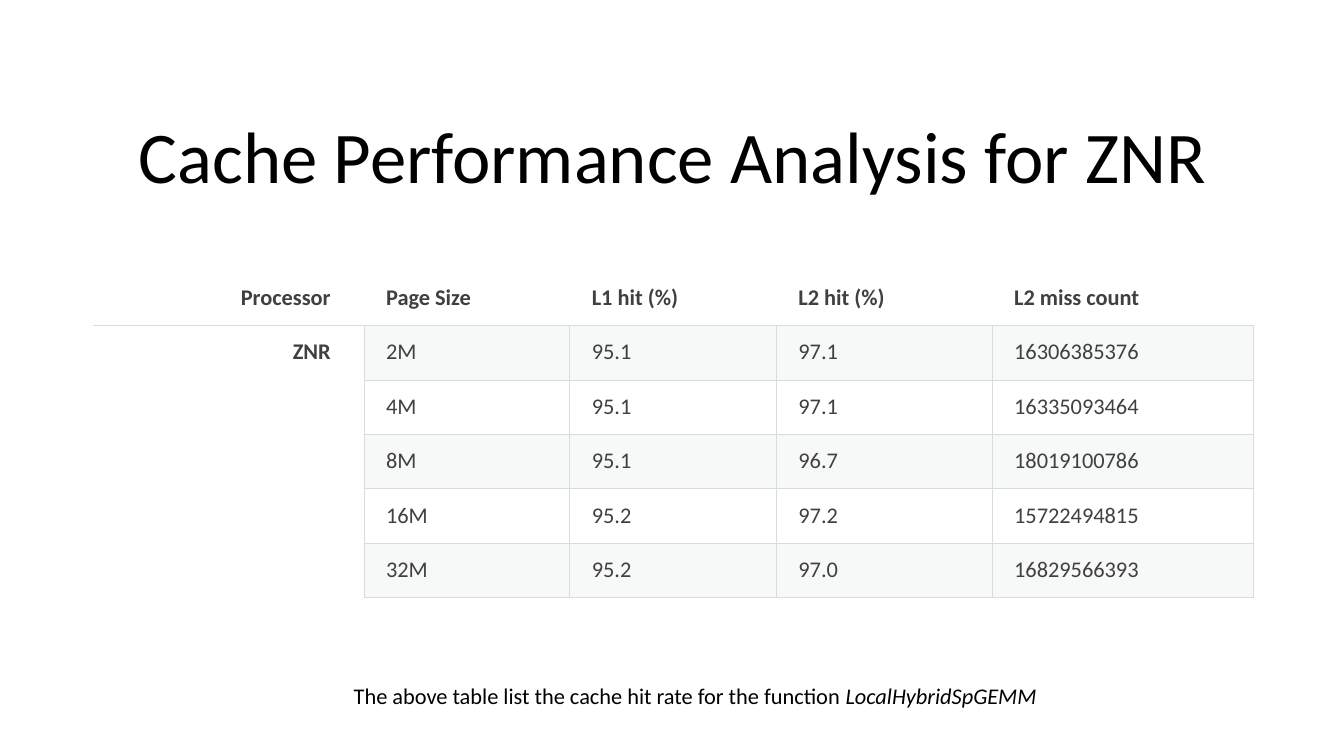
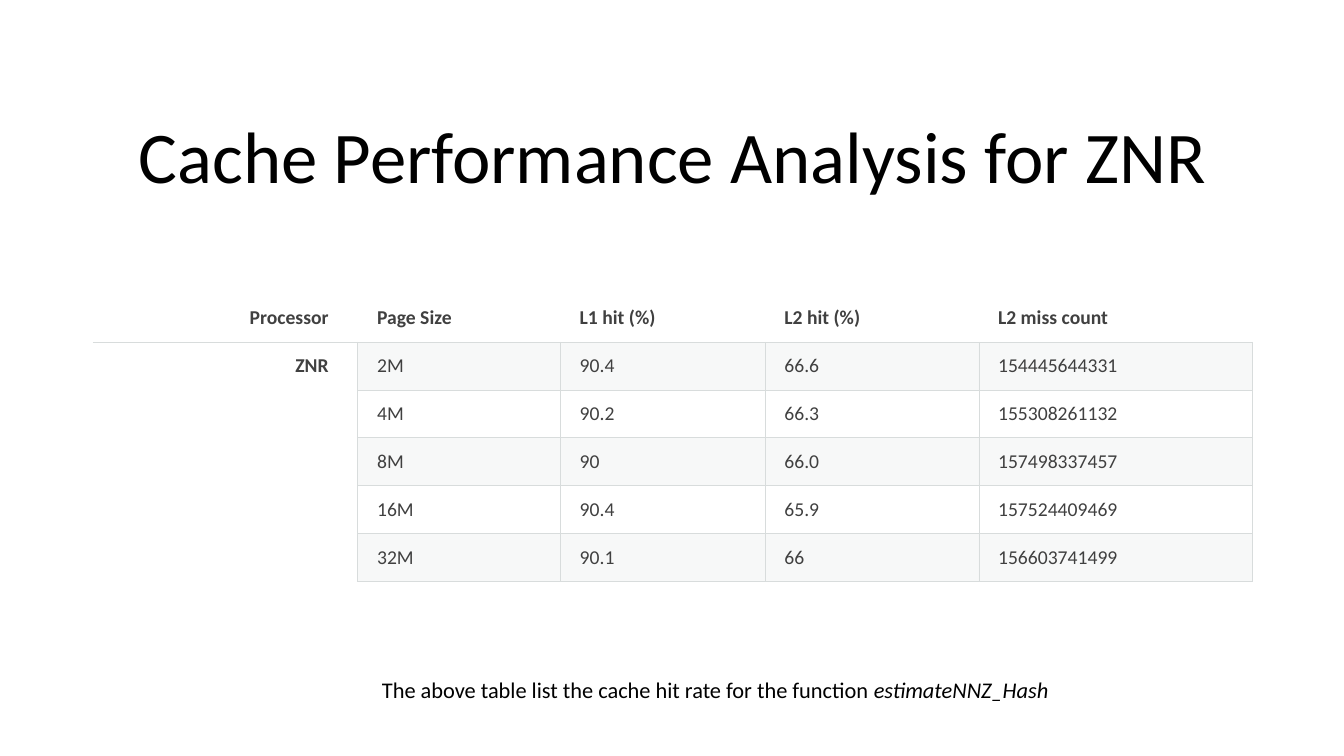
from lxml.etree import SubElement
from pptx import Presentation
from pptx.dml.color import RGBColor
from pptx.enum.text import MSO_ANCHOR, MSO_AUTO_SIZE, PP_ALIGN
from pptx.oxml.ns import qn
from pptx.util import Inches, Pt

HUES = {"ink": "000000", "cell": "404040", "line": "D8DCDC", "band": "D8DEDC"}
CHIP = "ZNR"
TITLE = f"Cache Performance Analysis for {CHIP}"
NOTE = "The above table list the cache hit rate for the function "
HEAD = ["Processor", "Page Size", "L1 hit (%)", "L2 hit (%)", "L2 miss count"]
PAGES = ["2M", "4M", "8M", "16M", "32M"]
LEFT, WIDTH = 0.92, 11.5

SLIDES = [
    {"func": "LocalHybridSpGEMM", "note": (3.41, 6.72, 7.37, 0.37),
     "top": 2.69, "high": 3.24, "size": 16,
     "cols": [2.69, 2.04, 2.05, 2.14, 2.59],
     "pads": {"left": 0.22, "right": 0.08, "key": 0.33, "edge": 0.11},
     "rows": [("95.1", "97.1", "16306385376"),
              ("95.1", "97.1", "16335093464"),
              ("95.1", "96.7", "18019100786"),
              ("95.2", "97.2", "15722494815"),
              ("95.2", "97.0", "16829566393")]},
    {"func": "estimateNNZ_Hash", "note": (3.69, 6.66, 7.05, 0.37),
     "top": 2.92, "high": 2.85, "size": 14,
     "cols": [2.63, 2.01, 2.03, 2.12, 2.71],
     "pads": {"left": 0.19, "right": 0.07, "key": 0.29, "edge": 0.1},
     "rows": [("90.4", "66.6", "154445644331"),
              ("90.2", "66.3", "155308261132"),
              ("90", "66.0", "157498337457"),
              ("90.4", "65.9", "157524409469"),
              ("90.1", "66", "156603741499")]},
]


def style(item, hue=None, **vals):
    """Set each named value on the item, and its colour if one is given."""
    for name, val in vals.items():
        setattr(item, name, val)
    if hue:
        item.color.rgb = RGBColor.from_string(HUES[hue])


def border(cell, sides):
    """Draw the named sides of a cell and clear the others."""
    props = cell._tc.get_or_add_tcPr()
    for side in "LRTB":
        line = SubElement(props, qn("a:ln" + side), w=str(Pt(0.75)))
        if side in sides:
            fill = SubElement(line, qn("a:solidFill"))
            SubElement(fill, qn("a:srgbClr"), val=HUES["line"])
        else:
            SubElement(line, qn("a:noFill"))


deck = Presentation()
style(deck, slide_width=Inches(13.33), slide_height=Inches(7.5))

for data in SLIDES:
    slide = deck.slides.add_slide(deck.slide_layouts[5])

    # Title
    title = slide.shapes.title
    style(title, left=Inches(LEFT), top=Inches(0.61),
          width=Inches(WIDTH), height=Inches(1.42))
    frame = title.text_frame
    style(frame, text=TITLE, vertical_anchor=MSO_ANCHOR.BOTTOM,
          auto_size=MSO_AUTO_SIZE.NONE, word_wrap=True)
    para = frame.paragraphs[0]
    style(para, alignment=PP_ALIGN.CENTER, line_spacing=0.9)
    style(para.runs[0].font, "ink", name="Calibri", size=Pt(52))

    # Table
    grid = [HEAD]
    for i, (page, vals) in enumerate(zip(PAGES, data["rows"])):
        grid.append(["" if i else CHIP, page, *vals])
    table = slide.shapes.add_table(
        len(grid), len(HEAD), Inches(LEFT), Inches(data["top"]),
        Inches(WIDTH), Inches(data["high"])).table
    style(table, first_row=False, horz_banding=False)
    for col, wide in zip(table.columns, data["cols"]):
        col.width = Inches(wide)
    for row in table.rows:
        row.height = Inches(data["high"] / len(grid))
    table.cell(1, 0).merge(table.cell(len(PAGES), 0))

    pads = data["pads"]
    for r, texts in enumerate(grid):
        for c, text in enumerate(texts):
            cell = table.cell(r, c)
            key = c == 0
            style(cell, margin_left=Inches(pads["left"]),
                  margin_right=Inches(pads["key" if key else "right"]),
                  margin_top=Inches(pads["edge"]),
                  margin_bottom=Inches(pads["edge"]))
            if r == 0:
                border(cell, "B")
            elif key:
                border(cell, "TR" if r == 1 else "R")
            else:
                border(cell, "LRTB")
            if r % 2 and not key:
                cell.fill.solid()
                cell.fill.fore_color.rgb = RGBColor.from_string(HUES["band"])
                tint = cell._tc.tcPr.find(
                    qn("a:solidFill") + "/" + qn("a:srgbClr"))
                SubElement(tint, qn("a:alpha"), val="20000")
            else:
                cell.fill.background()
            if text:
                para = cell.text_frame.paragraphs[0]
                style(para, line_spacing=1.07,
                      alignment=PP_ALIGN.RIGHT if key else PP_ALIGN.LEFT)
                run = para.add_run()
                run.text = text
                style(run.font, "cell", name="Calibri",
                      size=Pt(data["size"]), bold=r == 0 or key)

    # Note below the table
    box = slide.shapes.add_textbox(*map(Inches, data["note"]))
    frame = box.text_frame
    style(frame, word_wrap=True, auto_size=MSO_AUTO_SIZE.SHAPE_TO_FIT_TEXT)
    for text, slant in ((NOTE, False), (data["func"], True)):
        run = frame.paragraphs[0].add_run()
        run.text = text
        style(run.font, "ink", name="Calibri", size=Pt(16), italic=slant)

deck.save("out.pptx")
